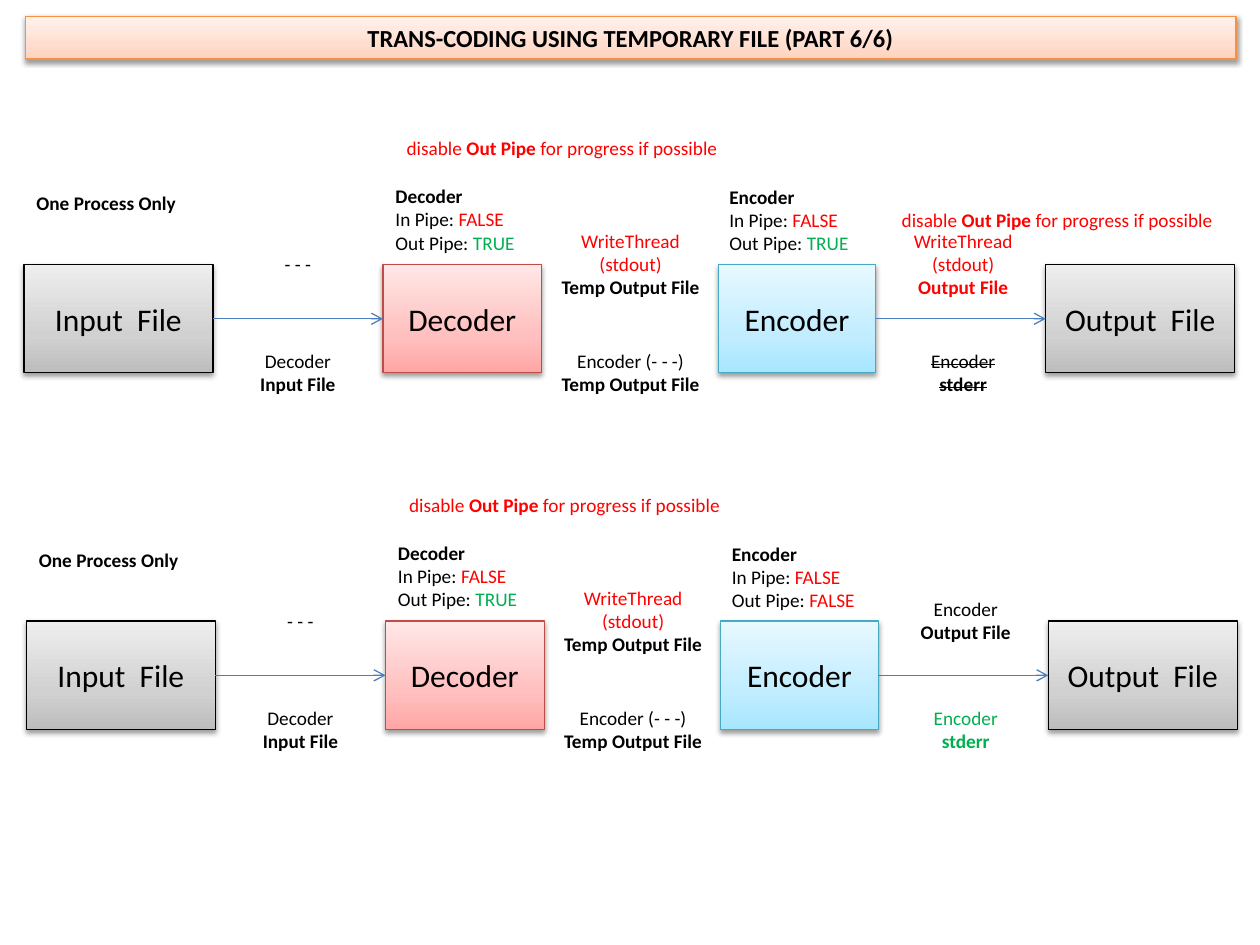
from lxml import etree
from copy import deepcopy
from pptx import Presentation
from pptx.dml.color import RGBColor
from pptx.enum.shapes import MSO_CONNECTOR, MSO_SHAPE
from pptx.enum.text import MSO_ANCHOR, MSO_AUTO_SIZE, PP_ALIGN
from pptx.oxml.ns import qn
from pptx.util import Inches, Pt

RECT = MSO_SHAPE.RECTANGLE
STRAIGHT = MSO_CONNECTOR.STRAIGHT
TOP, MIDDLE = MSO_ANCHOR.TOP, MSO_ANCHOR.MIDDLE
LEFT, CENTER = PP_ALIGN.LEFT, PP_ALIGN.CENTER
GROW = MSO_AUTO_SIZE.SHAPE_TO_FIT_TEXT

BLACK = RGBColor(0x00, 0x00, 0x00)
RED = RGBColor(0xFF, 0x00, 0x00)
GREEN = RGBColor(0x00, 0xB0, 0x50)
ARROW_BLUE = RGBColor(0x4B, 0x7E, 0xBC)

ORANGE = (RGBColor(0xF6, 0x92, 0x40), RGBColor(0xFF, 0xD2, 0xBD),
          RGBColor(0xFF, 0xDE, 0xD0), RGBColor(0xFF, 0xF2, 0xED))
GREY = (BLACK, RGBColor(0xBD, 0xBD, 0xBD),
        RGBColor(0xD1, 0xD1, 0xD1), RGBColor(0xEE, 0xEE, 0xEE))
PINK = (RGBColor(0xBF, 0x4C, 0x48), RGBColor(0xFF, 0xA6, 0xA5),
        RGBColor(0xFF, 0xC0, 0xBF), RGBColor(0xFF, 0xE7, 0xE7))
CYAN = (RGBColor(0x46, 0xAA, 0xC5), RGBColor(0xA7, 0xE6, 0xFF),
        RGBColor(0xC1, 0xED, 0xFF), RGBColor(0xE7, 0xF8, 0xFF))

BOX_H = 0.86
BOXES = [("Input  File", 0, 1.5, GREY), ("Decoder", 2.85, 1.26, PINK),
         ("Encoder", 5.51, 1.25, CYAN), ("Output  File", 8.11, 1.5, GREY)]
LABEL_LEFTS = (1.49, 4.13, 6.77)
LABEL_W = 1.37


def add_run(p, text, size=11, color=BLACK, bold=False, strike=False):
    """Append one formatted run to a paragraph."""
    r = p.add_run()
    r.text = text
    r.font.name = "Calibri"
    r.font.size = Pt(size)
    r.font.bold = bold
    r.font.color.rgb = color
    if strike:
        r._r.get_or_add_rPr().set("strike", "sngStrike")


def write(s, lines, align=CENTER, anchor=MIDDLE):
    """Fill a shape with lines, each a list of (text, format) runs."""
    tf = s.text_frame
    tf.word_wrap = True
    tf.vertical_anchor = anchor
    for i, line in enumerate(lines):
        p = tf.add_paragraph() if i else tf.paragraphs[0]
        p.alignment = align
        for text, style in line:
            add_run(p, text, **style)


def add_label(slide, x, y, w, h, lines, align=CENTER):
    """Place a wrapped text box."""
    s = slide.shapes.add_textbox(Inches(x), Inches(y), Inches(w), Inches(h))
    write(s, lines, align)


def add_box(slide, x, y, w, h, palette, text, size, bold=False, anchor=MIDDLE):
    """Place a shaded, shadowed rectangle with a caption."""
    s = slide.shapes.add_shape(RECT, Inches(x), Inches(y), Inches(w), Inches(h))
    outline, *shades = palette
    s.line.color.rgb = outline
    s.line.width = Pt(0.75)
    s.fill.gradient()
    s.fill.gradient_angle = 90
    stops = s._element.spPr.find(qn("a:gradFill")).find(qn("a:gsLst"))
    stops.insert(1, deepcopy(stops[0]))
    for stop, position, shade in zip(s.fill.gradient_stops, (0, 0.35, 1), shades):
        stop.position = position
        stop.color.rgb = shade
    s.shadow.inherit = False
    effects = s._element.spPr.find(qn("a:effectLst"))
    shadow = etree.SubElement(effects, qn("a:outerShdw"), blurRad=str(Pt(3.1)),
                              dist=str(Pt(1.6)), dir="5400000", rotWithShape="0")
    color = etree.SubElement(shadow, qn("a:srgbClr"), val="000000")
    etree.SubElement(color, qn("a:alpha"), val="38000")
    write(s, [[(text, {"size": size, "bold": bold})]], anchor=anchor)
    return s


def add_arrow(slide, start, end):
    """Connect the right side of one box to the left side of another."""
    c = slide.shapes.add_connector(STRAIGHT, 0, 0, 0, 0)
    c.begin_connect(start, 3)
    c.end_connect(end, 1)
    c.line.color.rgb = ARROW_BLUE
    c.line.width = Pt(0.75)
    etree.SubElement(c.line._get_or_add_ln(), qn("a:tailEnd"), type="arrow")
    etree.SubElement(c._element.spPr, qn("a:effectLst"))


def two_lines(first, second, color=BLACK, second_color=None, strike=False):
    """Return a plain line above a bold line."""
    return [[(first, {"color": color, "strike": strike})],
            [(second, {"color": second_color or color, "bold": True, "strike": strike})]]


def pipe_lines(name, out_pipe):
    """Return the pipe settings of one process."""
    out_color = GREEN if out_pipe == "TRUE" else RED
    return [[(name, {"bold": True})],
            [("In Pipe: ", {}), ("FALSE", {"color": RED})],
            [("Out Pipe: ", {}), (out_pipe, {"color": out_color})]]


def add_hint(slide, x, y):
    """Place the red hint about the output pipe."""
    add_label(slide, x, y, 2.82, 0.43, [[
        ("disable ", {"color": RED}), ("Out Pipe", {"color": RED, "bold": True}),
        (" for progress if possible", {"color": RED})]])


def add_pipeline(slide, x, y, encoder_pipe, output_above, output_below):
    """Draw one transcoding chain from its top left corner."""
    boxes = [add_box(slide, x + dx, y + 1.14, w, BOX_H, palette, name, 18)
             for name, dx, w, palette in BOXES]
    add_arrow(slide, boxes[0], boxes[1])
    add_arrow(slide, boxes[2], boxes[3])
    above = [[[("- - -", {})]],
             two_lines("WriteThread (stdout)", "Temp Output File", RED, BLACK),
             output_above]
    below = [two_lines("Decoder", "Input File"),
             two_lines("Encoder (- - -)", "Temp Output File"),
             output_below]
    for dx, upper, lower in zip(LABEL_LEFTS, above, below):
        add_label(slide, x + dx, y + 0.7, LABEL_W, 0.87, upper)
        add_label(slide, x + dx, y + 1.57, LABEL_W, 0.85, lower)
    add_label(slide, x, y + 0.43, 2.85, 0.44,
              [[("One Process Only", {"bold": True})]], LEFT)
    add_label(slide, x + 2.85, y + 0.43, 1.28, 0.7, pipe_lines("Decoder", "TRUE"), LEFT)
    add_label(slide, x + 5.5, y + 0.43, 1.28, 0.71,
              pipe_lines("Encoder", encoder_pipe), LEFT)
    add_hint(slide, x + 2.86, y)


def add_title(slide, x, y, w, h):
    """Draw the title bar."""
    s = add_box(slide, x, y, w, h, ORANGE,
                "TRANS-CODING USING TEMPORARY FILE (PART 6/6)", 14, True, TOP)
    s.text_frame.auto_size = GROW


def main():
    """Build and save the slide."""
    prs = Presentation()
    prs.slide_width, prs.slide_height = Inches(10), Inches(7.5)
    slide = prs.slides.add_slide(prs.slide_layouts[6])
    add_title(slide, 0.2, 0.13, 9.61, 0.34)
    add_pipeline(slide, 0.19, 0.96, "TRUE",
                 two_lines("WriteThread (stdout)", "Output File", RED),
                 two_lines("Encoder", "stderr", strike=True))
    add_hint(slide, 6.98, 1.53)
    add_pipeline(slide, 0.21, 3.79, "FALSE",
                 two_lines("Encoder", "Output File"),
                 two_lines("Encoder", "stderr", GREEN))
    prs.save("out.pptx")


if __name__ == "__main__":
    main()
